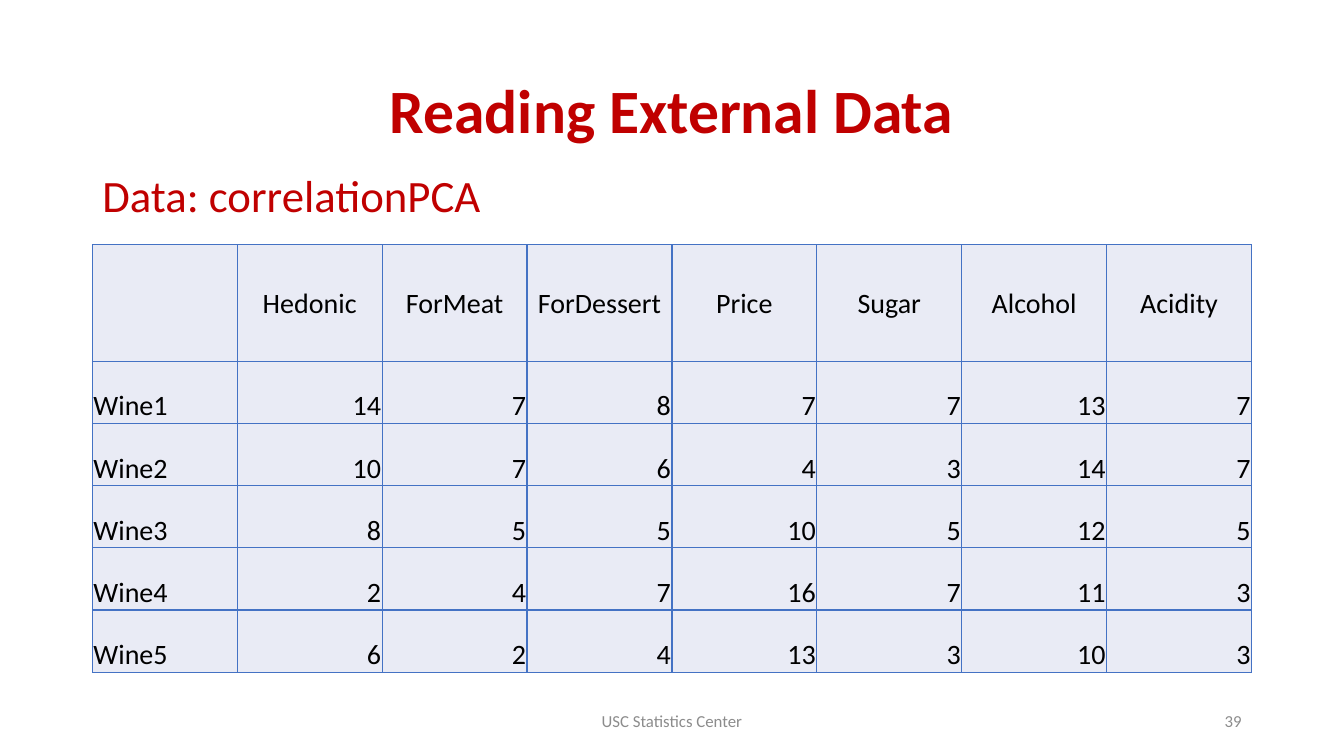
import lxml.etree
import pptx
import pptx.dml.color
import pptx.enum.text
import pptx.oxml.ns
import pptx.util

Pt = pptx.util.Pt
ALIGN = pptx.enum.text.PP_ALIGN
ANCHOR = pptx.enum.text.MSO_ANCHOR
COLORS = {
    "heading": "C00000",
    "footer": "8C8C8C",
    "data": "000000",
    "cell": "E9EBF5",
    "border": "4472C4",
}
LEFT, WIDTH = 66, 828


def style(paragraph, size, color, align, bold=False):
    paragraph.alignment = align
    font = paragraph.runs[0].font
    font.name = "Calibri"
    font.size = Pt(size)
    font.bold = bold
    font.color.rgb = pptx.dml.color.RGBColor.from_string(COLORS[color])


def add_borders(cell):
    properties = cell._tc.get_or_add_tcPr()
    for side in ("a:lnL", "a:lnR", "a:lnT", "a:lnB"):
        line = lxml.etree.SubElement(properties, pptx.oxml.ns.qn(side), w=str(Pt(1)))
        fill = lxml.etree.SubElement(line, pptx.oxml.ns.qn("a:solidFill"))
        lxml.etree.SubElement(fill, pptx.oxml.ns.qn("a:srgbClr"), val=COLORS["border"])


presentation = pptx.Presentation()
presentation.slide_width = Pt(960)
presentation.slide_height = Pt(540)
slide = presentation.slides.add_slide(presentation.slide_layouts[6])

# Title, subtitle, footer and slide number
texts = [
    ("Reading External Data", (LEFT, 28.75, WIDTH, 104.4), 44, "heading", ALIGN.CENTER, ANCHOR.MIDDLE),
    ("Data: correlationPCA", (LEFT, 116, WIDTH, 50), 32, "heading", ALIGN.LEFT, ANCHOR.TOP),
    ("USC Statistics Center", (318, 500.5, 324, 28.75), 12, "footer", ALIGN.CENTER, ANCHOR.MIDDLE),
    ("39", (678, 500.5, 216, 28.75), 12, "footer", ALIGN.RIGHT, ANCHOR.MIDDLE),
]
for text, place, size, color, align, anchor in texts:
    frame = slide.shapes.add_textbox(*map(Pt, place)).text_frame
    frame.word_wrap = True
    frame.vertical_anchor = anchor
    frame.text = text
    is_title = size == 44
    style(frame.paragraphs[0], size, color, align, bold=is_title)
    if is_title:
        frame.paragraphs[0].line_spacing = 0.9

# Wine ratings
wine_rows = [
    ["", "Hedonic", "ForMeat", "ForDessert", "Price", "Sugar", "Alcohol", "Acidity"],
    ["Wine1", 14, 7, 8, 7, 7, 13, 7],
    ["Wine2", 10, 7, 6, 4, 3, 14, 7],
    ["Wine3", 8, 5, 5, 10, 5, 12, 5],
    ["Wine4", 2, 4, 7, 16, 7, 11, 3],
    ["Wine5", 6, 2, 4, 13, 3, 10, 3],
]
HEADER_HEIGHT, ROW_HEIGHT = 83.4, 44.4
wine_table = slide.shapes.add_table(
    len(wine_rows), len(wine_rows[0]), Pt(LEFT), Pt(174.75),
    Pt(WIDTH), Pt(HEADER_HEIGHT + 5 * ROW_HEIGHT),
).table
for row_index, values in enumerate(wine_rows):
    is_header = row_index == 0
    wine_table.rows[row_index].height = Pt(HEADER_HEIGHT if is_header else ROW_HEIGHT)
    for column_index, value in enumerate(values):
        cell = wine_table.cell(row_index, column_index)
        add_borders(cell)
        cell.fill.solid()
        cell.fill.fore_color.rgb = pptx.dml.color.RGBColor.from_string(COLORS["cell"])
        cell.margin_left = cell.margin_right = cell.margin_top = Pt(0.75)
        cell.margin_bottom = 0
        cell.vertical_anchor = ANCHOR.MIDDLE if is_header else ANCHOR.BOTTOM
        if value == "":
            continue
        cell.text_frame.text = str(value)
        if is_header:
            align = ALIGN.CENTER
        else:
            align = ALIGN.LEFT if column_index == 0 else ALIGN.RIGHT
        style(cell.text_frame.paragraphs[0], 20, "data", align)

presentation.save("out.pptx")
